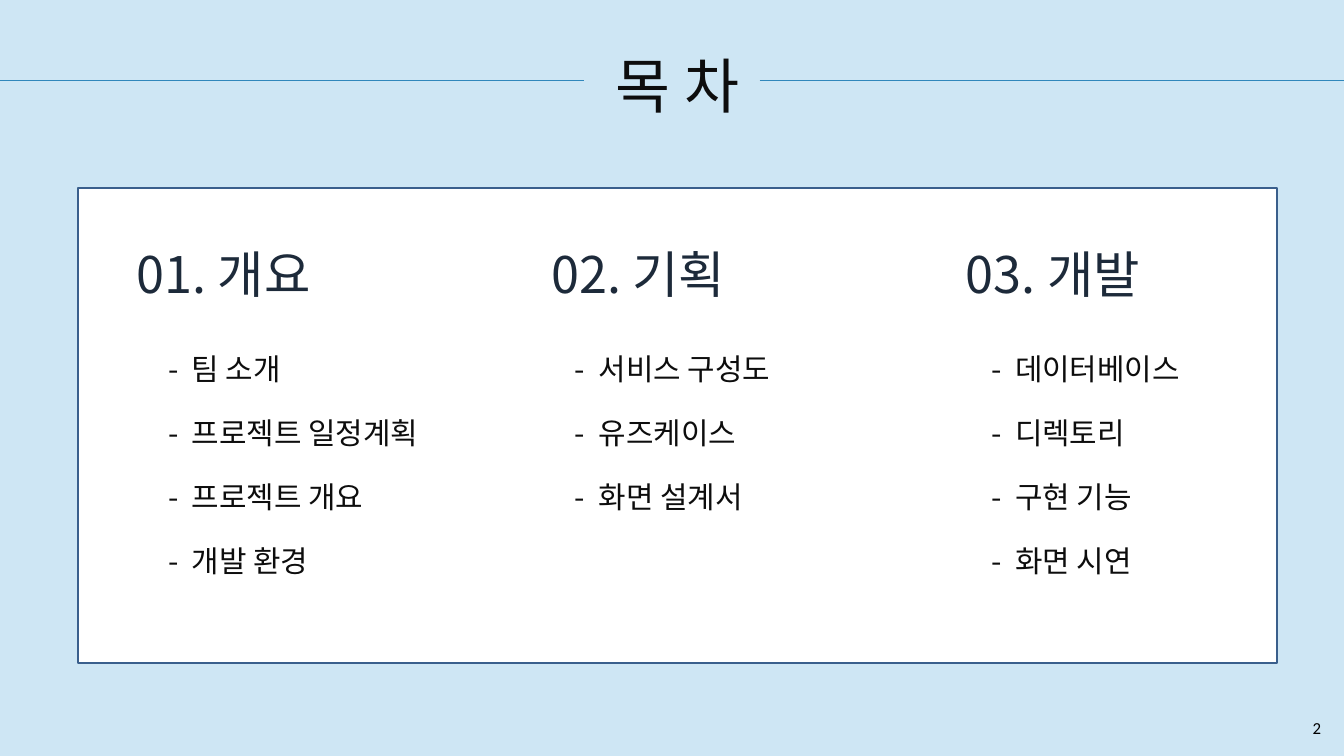
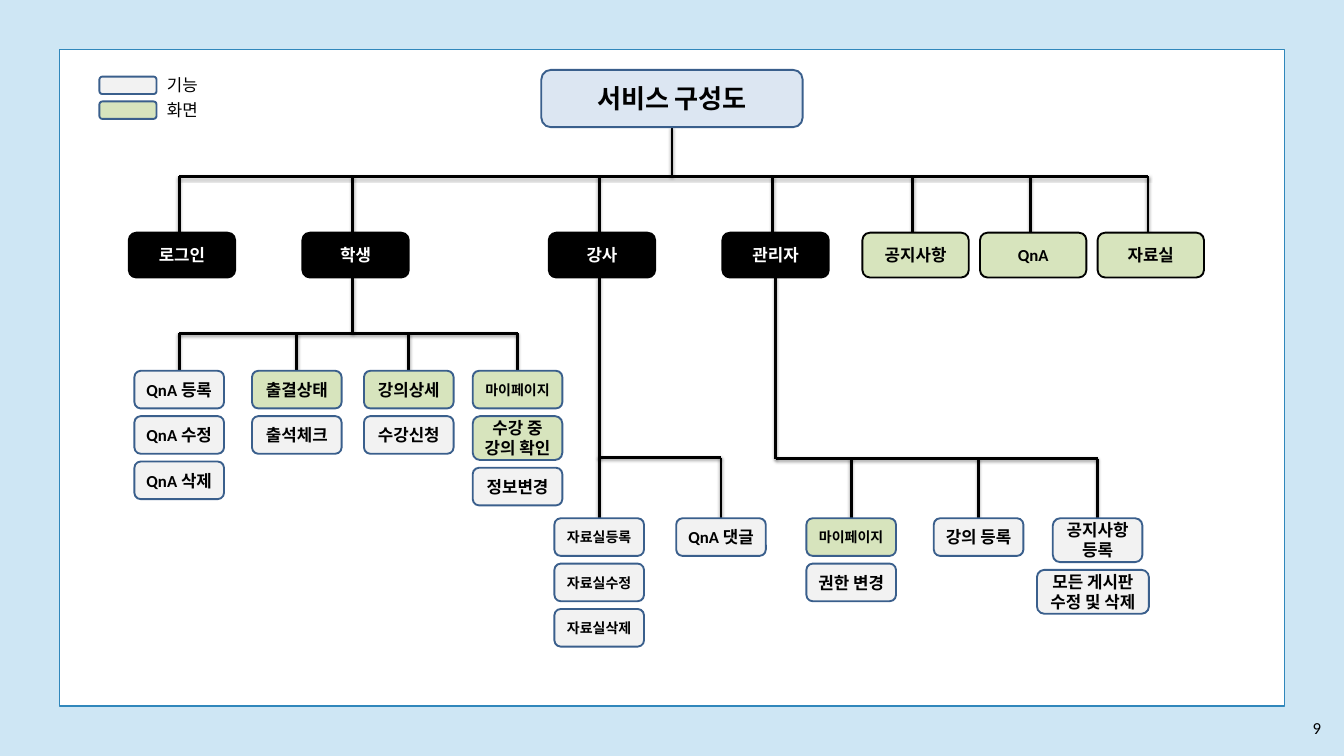
from dataclasses import dataclass

from pptx import Presentation
from pptx.dml.color import RGBColor
from pptx.enum.shapes import MSO_CONNECTOR as CONN, MSO_SHAPE as SHAPE
from pptx.enum.text import MSO_ANCHOR as ANCHOR, MSO_AUTO_SIZE as AUTO, PP_ALIGN as ALIGN
from pptx.oxml import parse_xml
from pptx.oxml.ns import nsdecls
from pptx.util import Pt


@dataclass(frozen=True)
class Theme:
    """Colours, fonts and type sizes of the deck."""
    sky: str = "CEE6F4"
    white: str = "FFFFFF"
    black: str = "000000"
    ink: str = "0D0D0D"
    navy: str = "1D2A3A"
    edge: str = "3A5F8C"
    rule: str = "3087BB"
    root: str = "DCE6F2"
    feature: str = "F2F2F2"
    screen: str = "D7E4BD"
    korean: str = "Noto Sans CJK KR"
    latin: str = "Calibri"
    title: int = 64
    heading: int = 54
    item: int = 32
    root_size: int = 28
    label: int = 18
    small: int = 15


@dataclass(frozen=True)
class Box:
    """A rectangle in points."""
    x: float
    y: float
    w: float
    h: float

    def inner(self, x, y, w, h):
        """Return a box placed relative to this one."""
        return Box(self.x + x, self.y + y, w, h)

    def lengths(self):
        """Return left, top, width and height as lengths."""
        return [Pt(v) for v in (self.x, self.y, self.w, self.h)]


T = Theme()
PAGE = Box(0, 0, 1440, 810)
CARD_W, CARD_H, TALL_H, CARD_GAP = 96, 40.3, 47, 8.3
SECTION_W, SECTION_H, SECTION_Y = 114, 48, 196
DROP = 54
BUS_Y = 135.5

CONTENTS = [
    ("01. 개요", 96, 533, ["팀 소개", "프로젝트 일정계획", "프로젝트 개요", "개발 환경"]),
    ("02. 기획", 532, 533, ["서비스 구성도", "유즈케이스", "화면 설계서"]),
    ("03. 개발", 978, 320, ["데이터베이스", "디렉토리", "구현 기능", "화면 시연"]),
]
SECTIONS = [
    ("로그인", 74, T.black), ("학생", 260, T.black), ("강사", 524, T.black),
    ("관리자", 710, T.black), ("공지사항", 860, T.screen), ("QnA", 986, T.screen),
    ("자료실", 1112, T.screen),
]
BRANCHES = [
    (314, 304, 344, [
        (128, [("QnA 등록", T.feature), ("QnA 수정", T.feature), ("QnA 삭제", T.feature)]),
        (254, [("출결상태", T.screen), ("출석체크", T.feature)]),
        (374, [("강의상세", T.screen), ("수강신청", T.feature)]),
        (490.5, [("마이페이지", T.screen), ("수강 중\n강의 확인", T.screen),
                 ("정보변경", T.feature)]),
    ]),
    (578, 437, 502, [
        (578, [("자료실등록", T.feature), ("자료실수정", T.feature), ("자료실삭제", T.feature)]),
        (708.5, [("QnA 댓글", T.feature)]),
    ]),
    (767, 438, 502, [
        (848, [("마이페이지", T.screen), ("권한 변경", T.feature)]),
        (984.5, [("강의 등록", T.feature)]),
        (1112, [("공지사항 등록", T.feature), ("모든 게시판\n수정 및 삭제", T.feature)]),
    ]),
]


def set_text(shape, text, size, color=T.black, font=T.latin, bold=False,
             align=ALIGN.CENTER, anchor=ANCHOR.MIDDLE):
    """Fill a shape with uniformly formatted text."""
    tf = shape.text_frame
    tf.word_wrap = True
    tf.vertical_anchor = anchor
    tf.text = text
    for p in tf.paragraphs:
        p.alignment = align
        for r in p.runs:
            r.font.size, r.font.name, r.font.bold = Pt(size), font, bold
            r.font.color.rgb = RGBColor.from_string(color)
            r.font._element.append(
                parse_xml(f'<a:ea {nsdecls("a")} typeface="{font}"/>'))
    return tf


def add_label(s, box, text, size, **style):
    """Add a plain text box."""
    return set_text(s.shapes.add_textbox(*box.lengths()), text, size, **style)


def add_heading(s, box, text, size, leading, **style):
    """Add text without insets and with a fixed line height."""
    tf = add_label(s, box, text, size, font=T.korean, anchor=ANCHOR.TOP, **style)
    tf.margin_left = tf.margin_top = tf.margin_right = tf.margin_bottom = 0
    tf.auto_size = AUTO.SHAPE_TO_FIT_TEXT
    tf.paragraphs[0].line_spacing = Pt(leading)
    return tf


def add_panel(s, box, fill, line, width=2, kind=SHAPE.RECTANGLE):
    """Add a filled and outlined shape."""
    sp = s.shapes.add_shape(kind, *box.lengths())
    sp.shadow.inherit = False
    sp.fill.solid()
    sp.fill.fore_color.rgb = RGBColor.from_string(fill)
    sp.line.color.rgb = RGBColor.from_string(line)
    sp.line.width = Pt(width)
    return sp


def add_node(s, box, text, fill, line=T.edge, size=T.label):
    """Add a rounded node with a bold label."""
    sp = add_panel(s, box, fill, line, kind=SHAPE.ROUNDED_RECTANGLE)
    color = T.white if fill == T.black else T.black
    set_text(sp, text, size, color=color, bold=True)


def add_line(s, x1, y1, x2, y2, color, width, shadow=""):
    """Add a straight line with the given effect."""
    line = s.shapes.add_connector(CONN.STRAIGHT, Pt(x1), Pt(y1), Pt(x2), Pt(y2))
    line.line.color.rgb = RGBColor.from_string(color)
    line.line.width = Pt(width)
    line._element.spPr.append(
        parse_xml(f'<a:effectLst {nsdecls("a")}>{shadow}</a:effectLst>'))


def add_branch_line(s, box, x1, y1, x2, y2):
    """Add a tree line with a soft shadow, relative to the box."""
    shadow = (f'<a:outerShdw blurRad="{Pt(3.1)}" dist="{Pt(1.8)}" dir="5400000" '
              f'rotWithShape="0"><a:srgbClr val="{T.black}"><a:alpha val="35000"/>'
              '</a:srgbClr></a:outerShdw>')
    add_line(s, box.x + x1, box.y + y1, box.x + x2, box.y + y2, T.black, 3, shadow)


def add_page(prs, number):
    """Add a blank slide with background and page number."""
    s = prs.slides.add_slide(prs.slide_layouts[6])
    s.background.fill.solid()
    s.background.fill.fore_color.rgb = RGBColor.from_string(T.sky)
    add_label(s, PAGE.inner(1384, 765, 54, 30), str(number), T.label)
    return s


def draw_title(s, box, text):
    """Draw the title between two rules."""
    add_heading(s, box.inner(505.5, 39, 441, 90.5), text, T.title, 89.6, color=T.ink)
    for x1, x2 in ((0, 626), (814, box.w)):
        add_line(s, box.x + x1, box.y + 86, box.x + x2, box.y + 86, T.rule, 1.5)


def draw_contents(s, box):
    """Draw the contents panel with its three columns."""
    add_panel(s, box, T.white, T.edge)
    for i, (heading, x, width, items) in enumerate(CONTENTS):
        add_heading(s, box.inner(25.4 + 444.2 * i, 90, 260.6, 42), heading,
                    T.heading, 33.6, color=T.navy)
        for row, item in enumerate(items):
            tf = add_heading(s, box.inner(x, 179.3 + 68.4 * row, width, 35.3),
                             "-\t" + item, T.item, 33.6, color=T.ink, align=ALIGN.LEFT)
            tf.paragraphs[0]._p.get_or_add_pPr().append(parse_xml(
                f'<a:tabLst {nsdecls("a")}><a:tab pos="{Pt(25.5)}" algn="l"/></a:tabLst>'))


def draw_legend(s, box):
    """Draw the key to the node colours."""
    for i, (text, fill) in enumerate((("기능", T.feature), ("화면", T.screen))):
        y = 26.6 * i
        add_panel(s, box.inner(0, y + 3.6, 61.2, 18.7), fill, T.edge,
                  kind=SHAPE.ROUNDED_RECTANGLE)
        add_label(s, box.inner(57, y, 64, 25.2), text, T.label)


def draw_sections(s, box):
    """Draw the root node and the row of sections below it."""
    middle = box.w / 2
    add_branch_line(s, box, middle, 83, middle, BUS_Y)
    add_branch_line(s, box, SECTIONS[0][1] + DROP, BUS_Y, SECTIONS[-1][1] + DROP, BUS_Y)
    add_node(s, box.inner(middle - 140, 21.6, 280, 61.4), "서비스 구성도", T.root,
             size=T.root_size)
    for text, x, fill in SECTIONS:
        add_branch_line(s, box, x + DROP, BUS_Y, x + DROP, SECTION_Y)
        add_node(s, box.inner(x, SECTION_Y, SECTION_W, SECTION_H), text, fill, T.black)


def draw_column(s, box, center, top, cards):
    """Stack the cards of one column around its centre."""
    y = top
    for text, fill in cards:
        longest = max(map(len, text.split("\n")))
        width = 120 if "모든" in text else CARD_W
        shift = -5 if width > CARD_W else 0
        height = TALL_H if "\n" in text or longest > 6 else CARD_H
        size = T.small if " " not in text and longest == 5 else T.label
        add_node(s, box.inner(center - width / 2 + shift, y, width, height),
                 text, fill, size=size)
        y += height + CARD_GAP


def draw_branch(s, box, trunk, bus, top, columns):
    """Draw a section's trunk, its bus and the columns under it."""
    centers = [center for center, _ in columns]
    add_branch_line(s, box, trunk, SECTION_Y + SECTION_H, trunk, bus)
    add_branch_line(s, box, min(trunk, *centers), bus, max(centers), bus)
    for center, cards in columns:
        add_branch_line(s, box, center, bus, center, top)
        draw_column(s, box, center, top, cards)


def contents_slide(prs):
    """Build the table of contents."""
    s = add_page(prs, 2)
    draw_title(s, PAGE, "목 차")
    draw_contents(s, PAGE.inner(84, 201.6, 1284, 509))


def structure_slide(prs):
    """Build the service structure tree."""
    s = add_page(prs, 9)
    box = PAGE.inner(64, 53.3, 1312, 703.4)
    add_panel(s, box, T.white, T.rule, 1.5)
    draw_legend(s, box.inner(42.5, 25.2, 121, 52))
    draw_sections(s, box)
    for branch in BRANCHES:
        draw_branch(s, box, *branch)


def main():
    """Build and save the deck."""
    prs = Presentation()
    prs.slide_width, prs.slide_height = Pt(PAGE.w), Pt(PAGE.h)
    contents_slide(prs)
    structure_slide(prs)
    prs.save("out.pptx")


if __name__ == "__main__":
    main()
